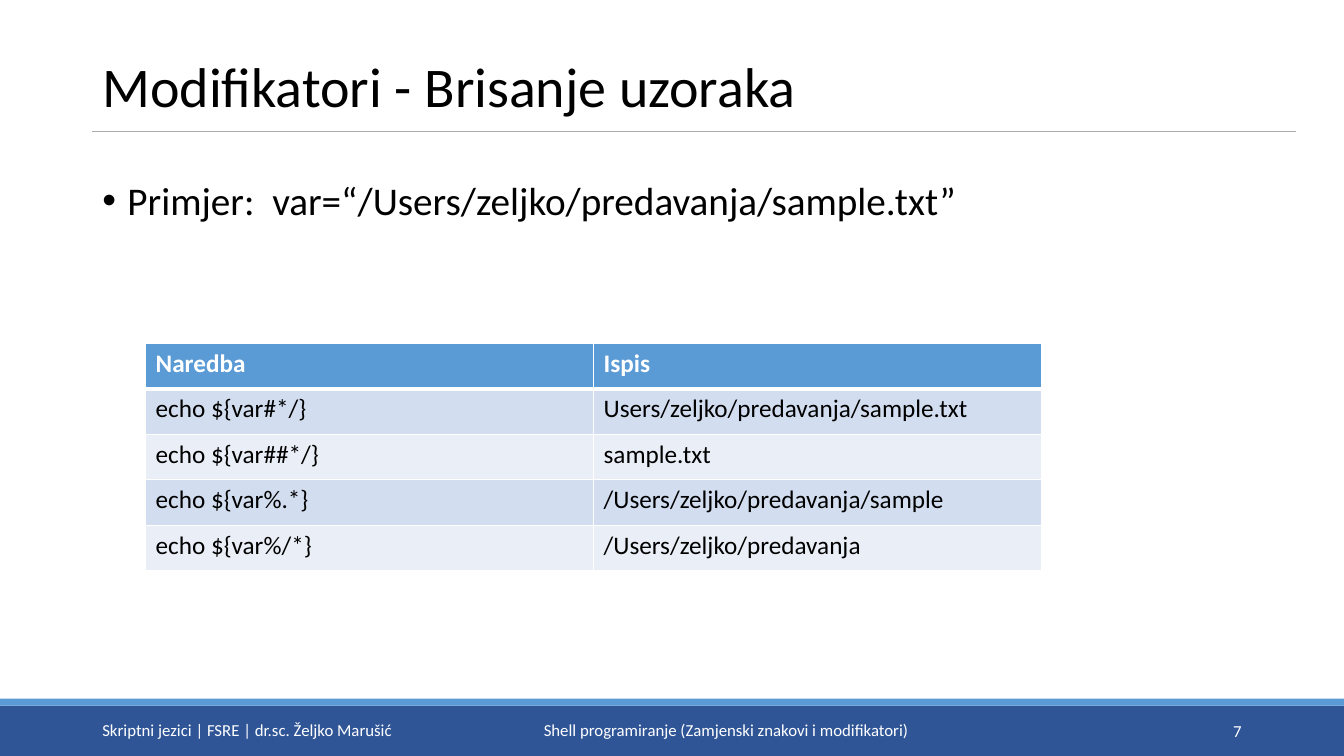
from dataclasses import dataclass

from lxml import etree
from pptx import Presentation
from pptx import util as u
from pptx.dml.color import RGBColor
from pptx.enum import shapes, text
from pptx.oxml import ns


@dataclass(frozen=True)
class Theme:
    """Colours, font and type sizes of the slide."""
    font: str = "Calibri"
    ink: str = "000000"
    white: str = "FFFFFF"
    navy: str = "2F5597"
    blue: str = "5B9BD5"
    rule: str = "AFABAB"
    bands: tuple = ("D2DEEF", "EAEFF7")
    title: float = 40
    body: float = 28
    table: float = 18
    footer: float = 12


class SlideBuilder:
    """Draws themed elements on one slide, with lengths in points."""

    def __init__(self, slide, theme):
        self.s = slide
        self.theme = theme

    def run(self, p, words, size, color, bold=False, **fmt):
        r = p.add_run()
        r.text = words
        r.font.color.rgb = RGBColor.from_string(color)
        font = {"name": self.theme.font, "size": u.Pt(size), "bold": bold}
        for target, values in ((r.font, font), (p, fmt)):
            for name, value in values.items():
                setattr(target, name, value)

    def bar(self, *box, color):
        sp = self.s.shapes.add_shape(shapes.MSO_SHAPE.RECTANGLE, *map(u.Pt, box))
        sp.shadow.inherit = False
        sp.fill.solid()
        sp.fill.fore_color.rgb = RGBColor.from_string(color)
        sp.line.fill.background()

    def line(self, *ends, color, width):
        cn = self.s.shapes.add_connector(shapes.MSO_CONNECTOR.STRAIGHT, *map(u.Pt, ends))
        cn.line.color.rgb = RGBColor.from_string(color)
        cn.line.width = u.Pt(width)
        etree.SubElement(cn._element.spPr, ns.qn("a:effectLst"))

    def text(self, *box, words, size, color, anchor=text.MSO_ANCHOR.MIDDLE,
             bullet=None, **fmt):
        tf = self.s.shapes.add_textbox(*map(u.Pt, box)).text_frame
        tf.word_wrap = True
        tf.vertical_anchor = anchor
        p = tf.paragraphs[0]
        self.run(p, words, size, color, **fmt)
        if bullet:
            pPr = p._p.get_or_add_pPr()
            pPr.set("marL", str(u.Pt(18)))
            pPr.set("indent", str(-u.Pt(18)))
            etree.SubElement(pPr, ns.qn("a:buFont"), typeface="Arial")
            etree.SubElement(pPr, ns.qn("a:buChar"), char=bullet)

    def borders(self, cell, **widths):
        tcPr = cell._tc.get_or_add_tcPr()
        for i, (side, width) in enumerate(widths.items()):
            ln = etree.Element(ns.qn(f"a:ln{side}"), w=str(u.Pt(width)))
            fill = etree.SubElement(ln, ns.qn("a:solidFill"))
            etree.SubElement(fill, ns.qn("a:srgbClr"), val=self.theme.white)
            tcPr.insert(i, ln)

    def table(self, *box, rows):
        t = self.theme
        table = self.s.shapes.add_table(len(rows), len(rows[0]), *map(u.Pt, box)).table
        for i, row in enumerate(rows):
            head = i == 0
            fill = t.blue if head else t.bands[(i - 1) % 2]
            for j, words in enumerate(row):
                cell = table.cell(i, j)
                cell.fill.solid()
                cell.fill.fore_color.rgb = RGBColor.from_string(fill)
                self.run(cell.text_frame.paragraphs[0], words, t.table,
                         t.white if head else t.ink, bold=head)
                self.borders(cell, L=1, R=1, T=3 if i == 1 else 1, B=3 if head else 1)


def main():
    prs = Presentation()
    prs.slide_width, prs.slide_height = u.Pt(960), u.Pt(540)
    t = Theme()
    b = SlideBuilder(prs.slides.add_slide(prs.slide_layouts[6]), t)

    b.bar(0, 504, 960, 36, color=t.navy)
    b.bar(0, 499, 960, 5, color=t.blue)
    b.line(66, 94, 926, 94, color=t.rule, width=0.5)

    b.text(66, 28.8, 724, 69.8, words="Modifikatori - Brisanje uzoraka",
           size=t.title, color=t.ink, line_spacing=0.9)
    b.text(66, 126, 828, 361, words="Primjer:  var=“/Users/zeljko/predavanja/sample.txt”",
           size=t.body, color=t.ink, anchor=text.MSO_ANCHOR.TOP, bullet="•",
           line_spacing=0.9, space_before=u.Pt(10))
    b.table(104, 245.3, 640, 162.5, rows=[
        ("Naredba", "Ispis"),
        ("echo ${var#*/}", "Users/zeljko/predavanja/sample.txt"),
        ("echo ${var##*/}", "sample.txt"),
        ("echo ${var%.*}", "/Users/zeljko/predavanja/sample"),
        ("echo ${var%/*}", "/Users/zeljko/predavanja"),
    ])

    align = text.PP_ALIGN
    for left, top, width, words, alignment in (
        (66, 507.2, 259, "Skriptni jezici | FSRE | dr.sc. Željko Marušić", align.LEFT),
        (365, 506.8, 307.5, "Shell programiranje (Zamjenski znakovi i modifikatori)",
         align.CENTER),
        (805, 507.8, 89, "7", align.RIGHT),
    ):
        b.text(left, top, width, 28.8, words=words, size=t.footer, color=t.white,
               alignment=alignment)

    prs.save("out.pptx")


if __name__ == "__main__":
    main()
